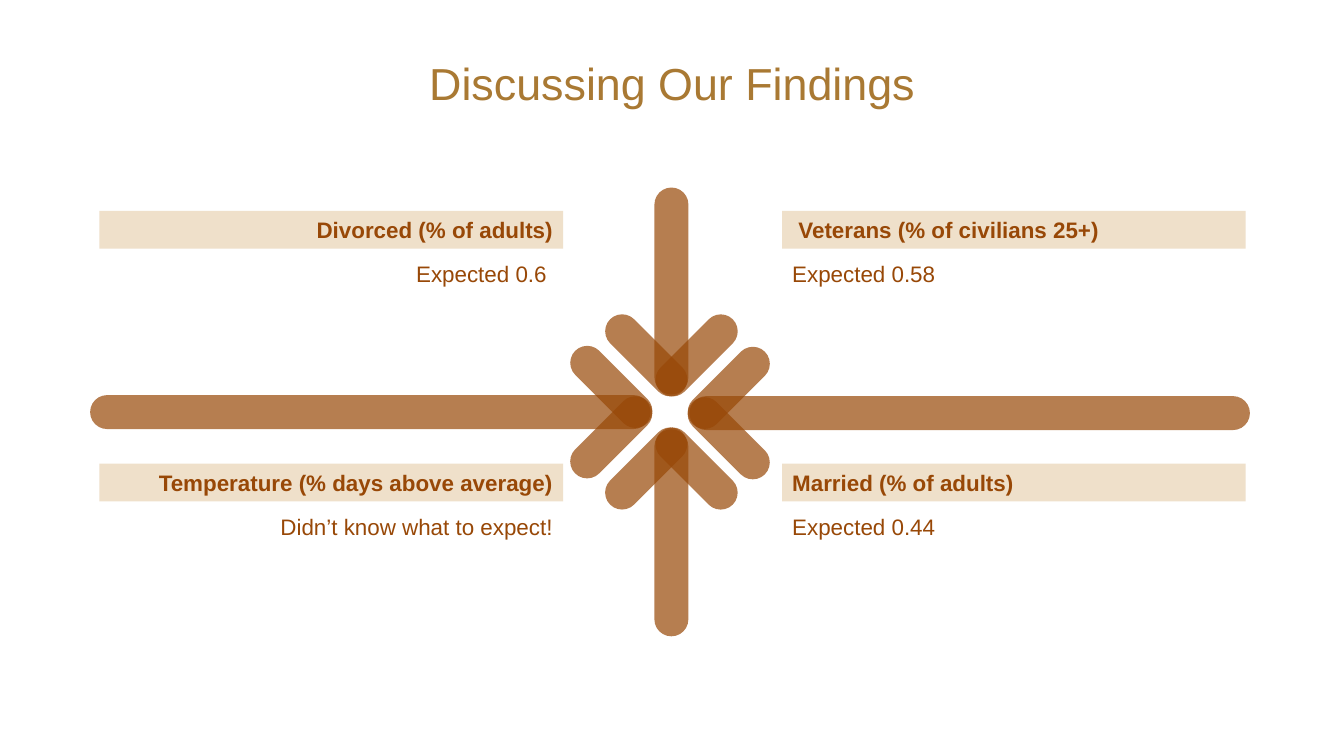
from dataclasses import dataclass
from math import cos, radians, sin

from lxml import etree
from pptx import Presentation
from pptx.dml.color import RGBColor
from pptx.enum.shapes import MSO_SHAPE
from pptx.enum.text import MSO_ANCHOR, PP_ALIGN
from pptx.oxml.ns import qn
from pptx.util import Pt

RECT, CAPSULE = MSO_SHAPE.RECTANGLE, MSO_SHAPE.ROUNDED_RECTANGLE
LEFT, CENTER, RIGHT = PP_ALIGN.LEFT, PP_ALIGN.CENTER, PP_ALIGN.RIGHT
TOP, MIDDLE = MSO_ANCHOR.TOP, MSO_ANCHOR.MIDDLE


@dataclass
class Theme:
    font: str = "Arial"
    title: RGBColor = RGBColor(0xA9, 0x79, 0x33)
    brown: RGBColor = RGBColor(0x98, 0x48, 0x07)
    sand: RGBColor = RGBColor(0xEF, 0xE0, 0xCA)
    title_size: int = 24
    text_size: int = 12
    opacity: int = 70


class SlideBuilder:
    def __init__(self, slide, theme):
        self.s = slide
        self.t = theme

    def set_text(self, sp, text, align, size, color, bold=False, anchor=TOP):
        tf = sp.text_frame
        tf.word_wrap = True
        tf.vertical_anchor = anchor
        tf.margin_left = tf.margin_right = Pt(5.4)
        tf.margin_top = tf.margin_bottom = Pt(2.7)
        p = tf.paragraphs[0]
        p.text = text
        p.alignment = align
        p.font.name = self.t.font
        p.font.size = Pt(size)
        p.font.bold = bold
        p.font.color.rgb = color

    def shape(self, kind, x, y, w, h, color):
        sp = self.s.shapes.add_shape(kind, Pt(x), Pt(y), Pt(w), Pt(h))
        sp.shadow.inherit = False
        sp.fill.solid()
        sp.fill.fore_color.rgb = color
        sp.line.fill.background()
        return sp

    def title(self, text, x, y, w, h):
        sp = self.s.shapes.add_textbox(Pt(x), Pt(y), Pt(w), Pt(h))
        self.set_text(sp, text, CENTER, self.t.title_size, self.t.title, anchor=MIDDLE)

    def finding(self, heading, body, x, y, align):
        w, h, step = 248.4, 20.2, 23.8
        sp = self.s.shapes.add_textbox(Pt(x), Pt(y + step), Pt(w), Pt(h))
        self.set_text(sp, body, align, self.t.text_size, self.t.brown)
        sp = self.shape(RECT, x, y, w, h, self.t.sand)
        self.set_text(sp, heading, align, self.t.text_size, self.t.brown, bold=True)

    def bar(self, cx, cy, length, angle):
        thick = 18.2
        sp = self.shape(CAPSULE, cx - length / 2, cy - thick / 2, length, thick, self.t.brown)
        sp.adjustments[0] = 0.5
        sp.rotation = angle % 360
        clr = sp.element.spPr.find(qn("a:solidFill"))[0]
        etree.SubElement(clr, qn("a:alpha"), val=str(self.t.opacity * 1000))

    def arrow(self, tip_x, tip_y, heading, length):
        barb, back, side = 54.7, 21, 13.5
        dx, dy = cos(radians(heading)), sin(radians(heading))
        self.bar(tip_x - dx * length / 2, tip_y - dy * length / 2, length, heading)
        for sign in (-1, 1):
            cx = tip_x - dx * back - dy * side * sign
            cy = tip_y - dy * back + dx * side * sign
            self.bar(cx, cy, barb, heading - 45 * sign)


def main():
    prs = Presentation()
    prs.slide_width, prs.slide_height = Pt(720), Pt(405)
    b = SlideBuilder(prs.slides.add_slide(prs.slide_layouts[6]), Theme())

    b.title("Discussing Our Findings", 0, 21.6, 720, 45.4)

    long_arm, short_arm = 300.2, 110.9
    for arrow in (
        (348.5, 220.8, 0, long_arm),
        (369.4, 221.3, 180, long_arm),
        (359.7, 230, 270, short_arm),
        (359.7, 211.4, 90, short_arm),
    ):
        b.arrow(*arrow)

    left, right = 53.3, 419
    upper, lower = 113, 248.4
    for finding in (
        ("Divorced (% of adults)", "Expected 0.6 ", left, upper, RIGHT),
        (" Veterans (% of civilians 25+)", "Expected 0.58", right, upper, LEFT),
        ("Temperature (% days above average)", "Didn’t know what to expect!", left, lower, RIGHT),
        ("Married (% of adults)", "Expected 0.44", right, lower, LEFT),
    ):
        b.finding(*finding)

    prs.save("out.pptx")


if __name__ == "__main__":
    main()
